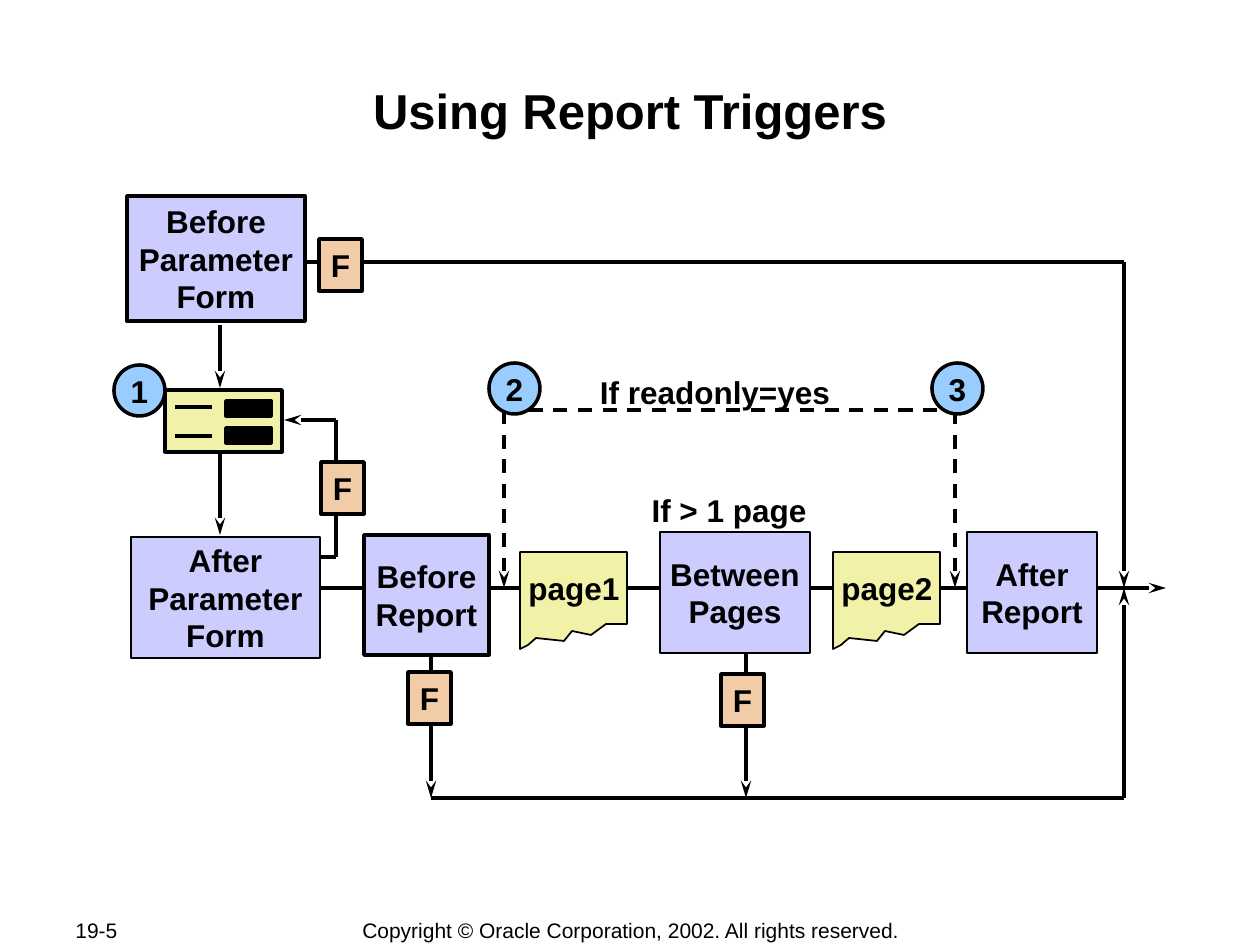
from itertools import pairwise

from lxml import etree
from pptx import Presentation
from pptx.dml.color import RGBColor
from pptx.enum import dml, shapes, text
from pptx.oxml.ns import qn
from pptx.util import Pt

PX = 914400 / 126  # EMU in one px
FONT = "Arial"
COLORS = {
    "ink": "000000",
    "trigger": "CCCCFF",
    "page": "F1F1A7",
    "function": "F1CCA7",
    "step": "99CCFF",
}
RECT = shapes.MSO_SHAPE.RECTANGLE
OVAL = shapes.MSO_SHAPE.OVAL
TORN_PAGE = [(0, 97), (0, 0), (107, 0), (107, 72), (86, 72), (71, 83),
             (52, 79), (44, 89), (16, 86), (8, 93)]


def emu(*lengths):
    return [round(length * PX) for length in lengths]


def color(name):
    return RGBColor.from_string(COLORS[name])


def write(box, lines, size=18, bold=True, align=text.PP_ALIGN.CENTER, wrap=False):
    frame = box.text_frame
    frame.word_wrap = wrap
    frame.vertical_anchor = text.MSO_ANCHOR.MIDDLE
    for number, line in enumerate(lines.split("\n")):
        para = frame.add_paragraph() if number else frame.paragraphs[0]
        para.alignment = align
        span = para.add_run()
        span.text = line
        span.font.name = FONT
        span.font.size = Pt(size)
        span.font.bold = bold
        span.font.color.rgb = color("ink")


def paint(box, fill, width):
    box.shadow.inherit = False
    box.fill.solid()
    box.fill.fore_color.rgb = color(fill)
    box.line.color.rgb = color("ink")
    box.line.width = Pt(width)


def add_box(page, place, fill, lines="", kind=RECT, width=2):
    box = page.shapes.add_shape(kind, *emu(*place))
    paint(box, fill, width)
    if lines:
        write(box, lines)


def add_label(page, place, lines, **style):
    box = page.shapes.add_textbox(*emu(*place))
    write(box, lines, **style)
    return box


def add_torn_page(page, left, top, name):
    points = [(left + x, top + y) for x, y in TORN_PAGE]
    builder = page.shapes.build_freeform(*points[0], scale=PX)
    builder.add_line_segments(points[1:], close=True)
    paint(builder.convert_to_shape(), "page", 1)
    add_label(page, (left - 4, top + 11, 116, 50), name)


def add_route(page, *points, arrow=True, dashed=False):
    """Draw straight lines from point to point, with the arrowhead at the end."""
    for start, end in pairwise(points):
        link = page.shapes.add_connector(
            shapes.MSO_CONNECTOR.STRAIGHT, *emu(*start, *end))
        link.line.color.rgb = color("ink")
        link.line.width = Pt(2)
        if dashed:
            link.line.dash_style = dml.MSO_LINE.DASH
        if arrow and end == points[-1]:
            etree.SubElement(link.line._get_or_add_ln(), qn("a:tailEnd"),
                             type="stealth", w="med", len="lg")
        etree.SubElement(link._element.spPr, qn("a:effectLst"))


def main():
    deck = Presentation()
    deck.slide_width, deck.slide_height = emu(1260, 945)
    page = deck.slides.add_slide(deck.slide_layouts[6])

    # Footer and title
    add_label(page, (63, 917, 134, 26), "19-5", size=12, bold=False,
              align=text.PP_ALIGN.LEFT, wrap=True)
    add_label(page, (348, 917, 566, 26),
              "Copyright © Oracle Corporation, 2002. All rights reserved.",
              size=12, bold=False)
    title = add_label(page, (126, 73, 1008, 121), "Using Report Triggers",
                      size=28, wrap=True)
    title.text_frame.vertical_anchor = text.MSO_ANCHOR.TOP
    title.text_frame.margin_top, = emu(7)

    # Routes behind the boxes
    flow, finish, bottom = 588, 1124, 798
    add_route(page, (504, 410), (504, flow), dashed=True)
    add_route(page, (504, 410), (955, 410), (955, flow), dashed=True)
    add_route(page, (305, 262), (finish, 262), (finish, flow))
    for x in (746, 431):
        add_route(page, (x, 651), (x, bottom))
    add_route(page, (315, flow), (1166, flow))
    add_route(page, (315, 557), (336, 557), (336, 514), arrow=False)
    add_route(page, (336, 462), (336, 420), (284, 420))

    # Report triggers
    for place, name, width in [
        ((127, 196, 178, 125), "Before\nParameter\nForm", 2),
        ((131, 537, 189, 121), "After\nParameter\nForm", 1),
        ((364, 535, 125, 120), "Before\nReport", 2),
        ((660, 532, 150, 121), "Between\nPages", 1),
        ((967, 532, 130, 121), "After\nReport", 1),
    ]:
        add_box(page, place, "trigger", name, width=width)

    # Numbered steps
    for number, (x, y) in enumerate([(114, 365), (489, 363), (932, 363)], 1):
        add_box(page, (x, y, 51, 51), "step", str(number), kind=OVAL)

    # Parameter form with two fields
    add_box(page, (165, 390, 117, 62), "page")
    for y in (401, 428):
        add_box(page, (226, y, 45, 15), "ink")
    for y in (407, 436):
        add_route(page, (175, y), (212, y), arrow=False)

    # Report pages
    for x, name in [(520, "page1"), (833, "page2")]:
        add_torn_page(page, x, 552, name)

    # Conditions
    add_label(page, (639, 485, 180, 50), "If > 1 page")
    add_label(page, (587, 367, 256, 50), "If readonly=yes")

    # Failure exits
    for x, y in [(321, 462), (319, 239), (408, 672), (721, 674)]:
        add_box(page, (x, y, 43, 52), "function", "F")

    # Routes over the boxes
    add_route(page, (220, 325), (220, 388))
    add_route(page, (220, 451), (220, 535))
    add_route(page, (431, bottom), (finish, bottom), (finish, flow))

    deck.save("out.pptx")


if __name__ == "__main__":
    main()
